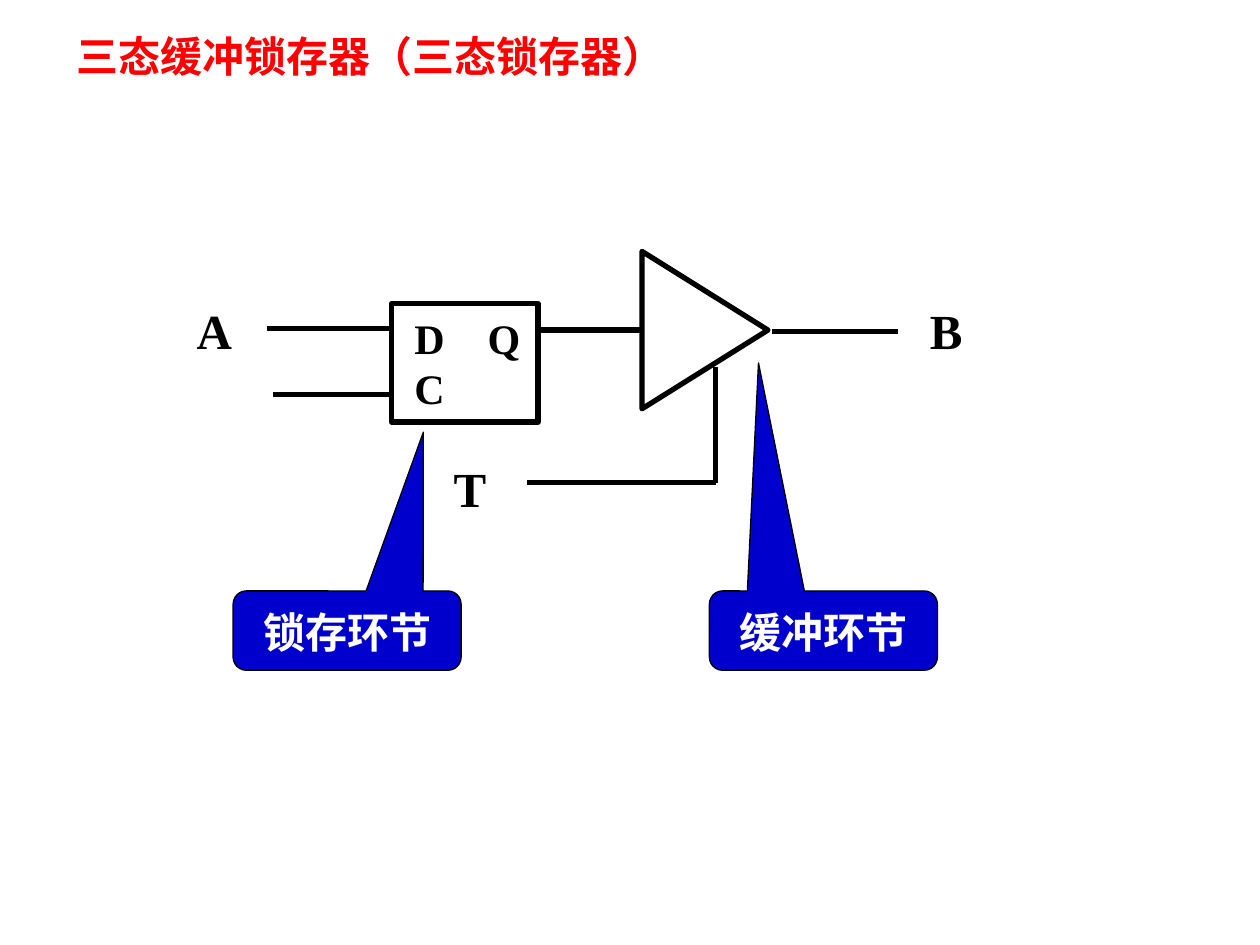
from dataclasses import dataclass

from lxml.etree import SubElement
from pptx import Presentation
from pptx.dml.color import RGBColor
from pptx.enum.shapes import MSO_CONNECTOR as Link, MSO_SHAPE as Form
from pptx.enum.text import MSO_ANCHOR as Anchor, PP_ALIGN as Align
from pptx.oxml.ns import qn
from pptx.util import Inches, Pt

BLACK, WHITE, RED, BLUE = "000000", "FFFFFF", "FF0000", "0000CC"
SERIF, SANS = "Times New Roman", "Arial"


@dataclass
class Wire:
    x1: float
    y1: float
    x2: float
    y2: float


@dataclass
class Label:
    text: str
    left: float
    top: float
    width: float


@dataclass
class Callout:
    text: str
    left: float
    tip: tuple[float, float]


def paint(target, color: str) -> None:
    target.solid()
    target.fore_color.rgb = RGBColor.from_string(color)


def write(shape, text: str, *, size=24, font=SERIF, color=BLACK, align=Align.LEFT,
          anchor=Anchor.MIDDLE, wrap=True, left=0.1, right=0.1, tab=None,
          spacing=None) -> None:
    frame = shape.text_frame
    frame.word_wrap = wrap
    frame.vertical_anchor = anchor
    frame.margin_left, frame.margin_right = Inches(left), Inches(right)
    frame.text = text
    for para in frame.paragraphs:
        para.alignment = align
        if spacing:
            para.line_spacing = spacing
        if tab:
            stops = SubElement(para._p.get_or_add_pPr(), qn("a:tabLst"))
            SubElement(stops, qn("a:tab"), pos=str(Inches(tab)), algn="l")
        para.font.size = Pt(size)
        para.font.name = font
        para.font.bold = True
        para.font.color.rgb = RGBColor.from_string(color)


def add_form(slide, form, left: float, top: float, width: float, height: float,
             fill: str | None = None, weight: float = 3):
    shape = slide.shapes.add_shape(
        form, Inches(left), Inches(top), Inches(width), Inches(height))
    shape.shadow.inherit = False
    if fill:
        paint(shape.fill, fill)
    else:
        shape.fill.background()
    paint(shape.line.fill, BLACK)
    shape.line.width = Pt(weight)
    return shape


def add_box(slide, left: float, top: float, width: float, height: float):
    return slide.shapes.add_textbox(
        Inches(left), Inches(top), Inches(width), Inches(height))


def add_wire(slide, wire: Wire) -> None:
    line = slide.shapes.add_connector(
        Link.STRAIGHT, Inches(wire.x1), Inches(wire.y1),
        Inches(wire.x2), Inches(wire.y2))
    paint(line.line.fill, BLACK)
    line.line.width = Pt(3)
    SubElement(line._element.spPr, qn("a:effectLst"))


def add_label(slide, label: Label) -> None:
    box = add_box(slide, label.left, label.top, label.width, 0.57)
    write(box, label.text, size=28, align=Align.CENTER, wrap=False)


def add_callout(slide, note: Callout) -> None:
    top, width, height = 4.69, 1.81, 0.63
    shape = add_form(slide, Form.ROUNDED_RECTANGULAR_CALLOUT,
                     note.left, top, width, height, BLUE, 0.75)
    tip_x, tip_y = note.tip
    shape.adjustments[0] = (tip_x - note.left) / width - 0.5
    shape.adjustments[1] = (tip_y - top) / height - 0.5
    write(shape, note.text, font=SANS, color=WHITE, align=Align.CENTER,
          anchor=Anchor.TOP, spacing=1.1)


WIRES = [
    Wire(6.13, 2.63, 7.13, 2.63),
    Wire(4.18, 3.83, 5.68, 3.83),
    Wire(5.68, 3.83, 5.68, 2.91),
    Wire(2.12, 2.61, 3.12, 2.61),
    Wire(4.25, 2.62, 5.08, 2.62),
    Wire(2.17, 3.13, 3.1, 3.13),
]
LABELS = [
    Label("T", 3.5, 3.59, 0.46),
    Label("A", 1.46, 2.33, 0.48),
    Label("B", 7.28, 2.33, 0.46),
]
NOTES = [
    Callout("锁存环节", 1.85, (3.36, 3.43)),
    Callout("缓冲环节", 5.63, (6.02, 2.88)),
]


def main() -> None:
    deck = Presentation()
    deck.slide_width, deck.slide_height = Inches(10), Inches(7.5)
    slide = deck.slides.add_slide(deck.slide_layouts[6])

    title = add_box(slide, 0.51, 0.2, 8.15, 0.49)
    write(title, "三态缓冲锁存器（三态锁存器）", font=SANS, color=RED)

    buffer = add_form(slide, Form.FLOWCHART_EXTRACT, 4.97, 2.12, 1.25, 1)
    buffer.rotation = 90
    latch = add_form(slide, Form.RECTANGLE, 3.11, 2.41, 1.16, 0.94)
    write(latch, "D\tQ\nC", left=0.18, right=0.05, tab=0.58)

    for wire in WIRES:
        add_wire(slide, wire)
    for label in LABELS:
        add_label(slide, label)
    for note in NOTES:
        add_callout(slide, note)

    deck.save("out.pptx")


if __name__ == "__main__":
    main()
